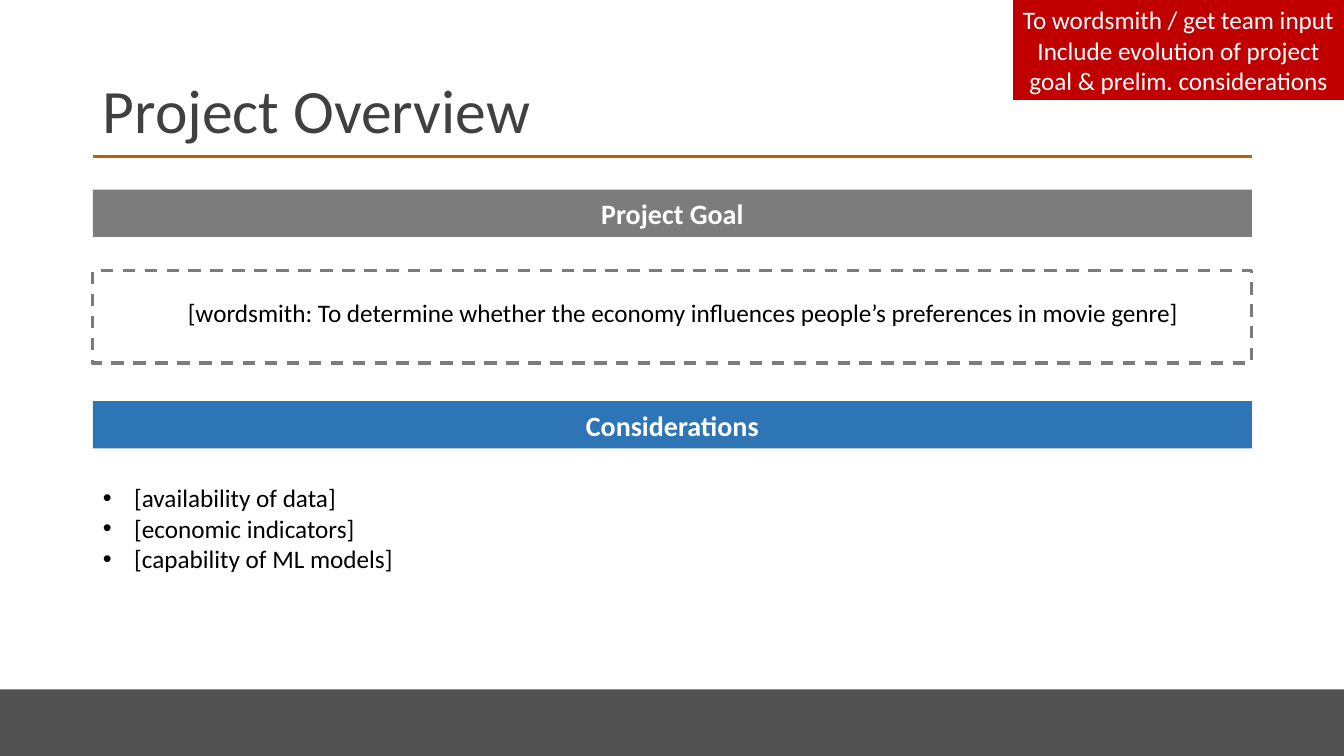
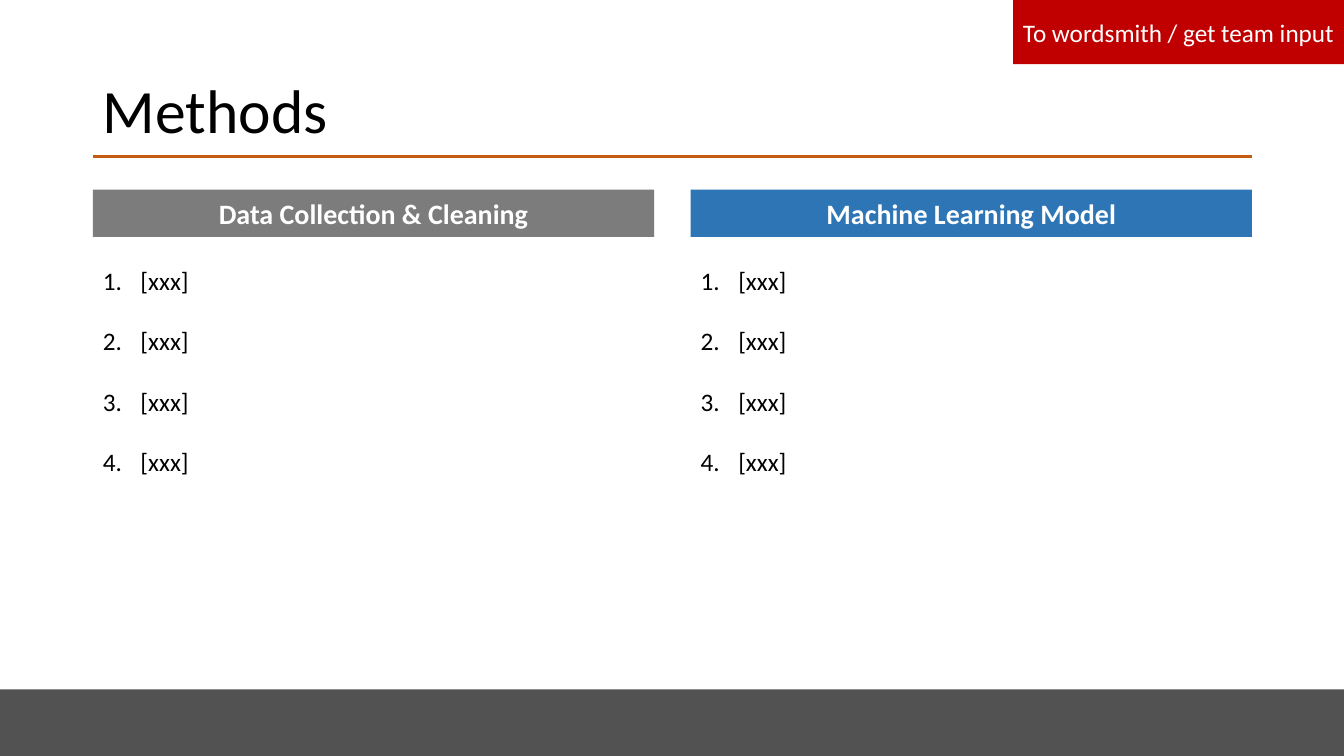
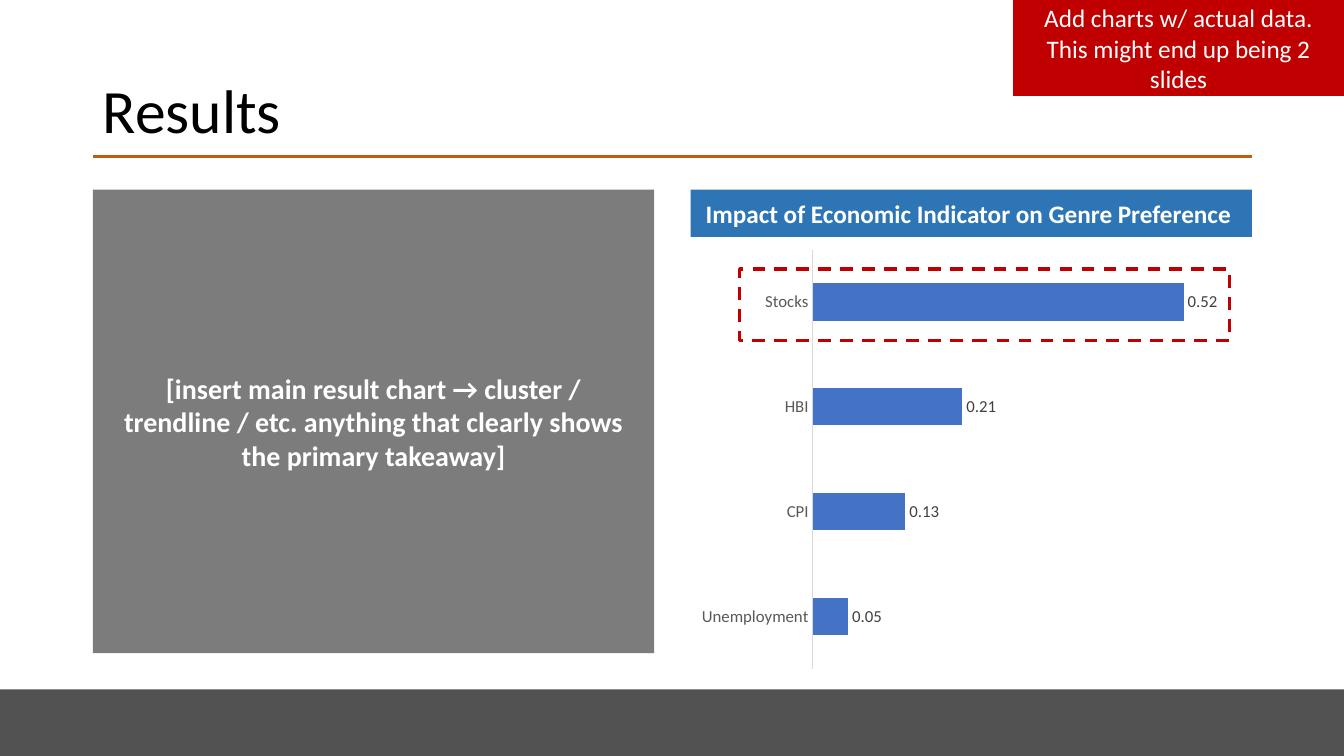
from dataclasses import dataclass

from lxml.etree import SubElement
from pptx import Presentation
from pptx.chart.data import CategoryChartData
from pptx.dml.color import RGBColor
from pptx.enum.chart import XL_CHART_TYPE, XL_LABEL_POSITION, XL_TICK_MARK
from pptx.enum.dml import MSO_LINE
from pptx.enum.shapes import MSO_CONNECTOR, MSO_SHAPE
from pptx.enum.text import MSO_ANCHOR, PP_ALIGN
from pptx.oxml.ns import qn
from pptx.util import Cm, Pt


@dataclass(frozen=True)
class Theme:
    font: str = "Calibri"
    black: str = "000000"
    white: str = "FFFFFF"
    dark: str = "404040"
    label: str = "595959"
    axis: str = "D9D9D9"
    footer: str = "525252"
    rule: str = "C55A11"
    gray: str = "7C7C7C"
    blue: str = "2E75B6"
    bar: str = "4472C4"
    red: str = "C00000"
    title_size: int = 44
    head_size: int = 20
    body_size: int = 18
    chart_size: int = 12
    stroke: float = 2.25


SLIDE_W, SLIDE_H = 33.87, 19.05
LEFT, WIDTH, GAP = 2.34, 29.21, 0.92
COL_W = (WIDTH - GAP) / 2
COLUMNS = [LEFT, LEFT + COL_W + GAP]
HEAD_TOP, HEAD_H = 4.78, 1.19
FOOTER_TOP = 17.37
NOTE_LEFT = 25.53


class Deck:
    """Holds the theme and the current slide, and draws each kind of element."""

    def __init__(self, theme):
        self.t = theme
        self.prs = Presentation()
        self.prs.slide_width, self.prs.slide_height = Cm(SLIDE_W), Cm(SLIDE_H)

    def style(self, font, size, color, bold=False):
        for name, value in {"name": self.t.font, "size": Pt(size), "bold": bold}.items():
            setattr(font, name, value)
        font.color.rgb = RGBColor.from_string(color)

    def fill_text(self, sp, lines, size, color, bold=False, anchor=MSO_ANCHOR.TOP, **para):
        tf = sp.text_frame
        for name, value in {"word_wrap": True, "vertical_anchor": anchor}.items():
            setattr(tf, name, value)
        for i, line in enumerate(lines):
            p = tf.add_paragraph() if i else tf.paragraphs[0]
            for name, value in para.items():
                setattr(p, name, value)
            r = p.add_run()
            r.text = line
            self.style(r.font, size, color, bold)

    def rect(self, x, y, w, h, fill=None, dash=None):
        sp = self.s.shapes.add_shape(MSO_SHAPE.RECTANGLE, Cm(x), Cm(y), Cm(w), Cm(h))
        sp.shadow.inherit = False
        if fill:
            sp.fill.solid()
            sp.fill.fore_color.rgb = RGBColor.from_string(fill)
        else:
            sp.fill.background()
        if dash:
            sp.line.color.rgb = RGBColor.from_string(dash)
            for name, value in {"width": Pt(self.t.stroke), "dash_style": MSO_LINE.DASH}.items():
                setattr(sp.line, name, value)
        else:
            sp.line.fill.background()
        return sp

    def text(self, x, y, w, h, lines, size, color, **kw):
        sp = self.s.shapes.add_textbox(Cm(x), Cm(y), Cm(w), Cm(h))
        self.fill_text(sp, lines, size, color, **kw)
        return sp

    def slide(self, title, color):
        self.s = self.prs.slides.add_slide(self.prs.slide_layouts[6])
        self.rect(0, FOOTER_TOP, SLIDE_W, SLIDE_H - FOOTER_TOP, self.t.footer)
        rule = self.s.shapes.add_connector(
            MSO_CONNECTOR.STRAIGHT, Cm(LEFT), Cm(3.94), Cm(LEFT + WIDTH), Cm(3.94))
        rule.line.color.rgb = RGBColor.from_string(self.t.rule)
        rule.line.width = Pt(self.t.stroke)
        SubElement(rule._element.spPr, qn("a:effectLst"))
        self.text(LEFT, 1.02, WIDTH, 3.68, [title], self.t.title_size, color,
                  anchor=MSO_ANCHOR.MIDDLE, line_spacing=0.9)

    def panel(self, x, y, w, h, lines, fill, size=None, bold=True):
        sp = self.rect(x, y, w, h, fill)
        self.fill_text(sp, lines, size or self.t.head_size, self.t.white, bold,
                       MSO_ANCHOR.MIDDLE, alignment=PP_ALIGN.CENTER)

    def note(self, h, *lines):
        self.panel(NOTE_LEFT, 0, SLIDE_W - NOTE_LEFT, h, lines, self.t.red,
                   self.t.body_size, False)

    def items(self, x, y, w, h, lines, tag, attrs, indent, spacing=1.0):
        sp = self.text(x, y, w, h, lines, self.t.body_size, self.t.black,
                       line_spacing=spacing)
        for p in sp.text_frame.paragraphs:
            pPr = p._p.get_or_add_pPr()
            pPr.set("marL", str(Cm(indent)))
            pPr.set("indent", str(-Cm(indent)))
            SubElement(pPr, qn("a:buFont"), typeface="Arial" if tag == "a:buChar" else "+mj-lt")
            SubElement(pPr, qn(tag), **attrs)

    def bar_chart(self, x, y, w, h, values):
        data = CategoryChartData()
        data.categories = list(values)
        data.add_series("Series 1", list(values.values()))
        chart = self.s.shapes.add_chart(
            XL_CHART_TYPE.BAR_CLUSTERED, Cm(x), Cm(y), Cm(w), Cm(h), data).chart
        self.style(chart.font, self.t.chart_size, self.t.black)
        chart.has_legend = chart.has_title = False
        cat, val = chart.category_axis, chart.value_axis
        for name, value in {"visible": False, "has_major_gridlines": False,
                            "minimum_scale": 0, "maximum_scale": 0.6}.items():
            setattr(val, name, value)
        cat.major_tick_mark = XL_TICK_MARK.NONE
        cat.format.line.color.rgb = RGBColor.from_string(self.t.axis)
        cat.format.line.width = Pt(0.75)
        self.style(cat.tick_labels.font, self.t.chart_size, self.t.label)
        plot = chart.plots[0]
        for name, value in {"gap_width": 182, "vary_by_categories": False,
                            "has_data_labels": True}.items():
            setattr(plot, name, value)
        plot.data_labels.show_value = True
        plot.data_labels.position = XL_LABEL_POSITION.OUTSIDE_END
        self.style(plot.data_labels.font, self.t.chart_size, self.t.dark)
        fill = plot.series[0].format.fill
        fill.solid()
        fill.fore_color.rgb = RGBColor.from_string(self.t.bar)


def overview(d):
    t = d.t
    d.slide("Project Overview", t.dark)
    d.panel(LEFT, HEAD_TOP, WIDTH, HEAD_H, ["Project Goal"], t.gray)
    d.panel(LEFT, 10.11, WIDTH, HEAD_H, ["Considerations"], t.blue)
    d.text(3.58, 7.37, 26.37, 1.02,
           ["[wordsmith: To determine whether the economy influences people’s preferences in movie genre]"],
           t.body_size, t.black, alignment=PP_ALIGN.RIGHT)
    d.rect(LEFT, 6.81, WIDTH, 2.34, dash=t.gray)
    d.items(LEFT, 12.04, COL_W, 2.57,
            ["[availability of data]", "[economic indicators]", "[capability of ML models]"],
            "a:buChar", {"char": "•"}, 0.79)
    d.note(2.52, "To wordsmith / get team input",
           "Include evolution of project goal & prelim. considerations")


def methods(d):
    t = d.t
    d.slide("Methods", t.black)
    heads = [("Data Collection & Cleaning", t.gray), ("Machine Learning Model", t.blue)]
    for x, (head, fill) in zip(COLUMNS, heads):
        d.panel(x, HEAD_TOP, COL_W, HEAD_H, [head], fill)
        d.items(x, 5.79, COL_W, 6.2, ["[xxx]"] * 4,
                "a:buAutoNum", {"type": "arabicPeriod"}, 0.95, 2.0)
    d.note(1.62, "To wordsmith / get team input")


def results(d):
    t = d.t
    left, right = COLUMNS
    d.slide("Results", t.black)
    d.panel(left, HEAD_TOP, COL_W, 11.68,
            ["[insert main result chart → cluster / trendline / etc. "
             "anything that clearly shows the primary takeaway]"], t.gray)
    d.panel(right, HEAD_TOP, COL_W, HEAD_H,
            ["Impact of Economic Indicator on Genre Preference "], t.blue, t.body_size)
    d.bar_chart(right, 6.07, COL_W, 11,
                {"Unemployment": 0.05, "CPI": 0.13, "HBI": 0.21, "Stocks": 0.52})
    d.rect(18.64, 6.78, 12.34, 1.8, dash=t.red)
    d.note(2.42, "Add charts w/ actual data. This might end up being 2 slides")


def main():
    d = Deck(Theme())
    for build in (overview, methods, results):
        build(d)
    d.prs.save("out.pptx")


if __name__ == "__main__":
    main()
